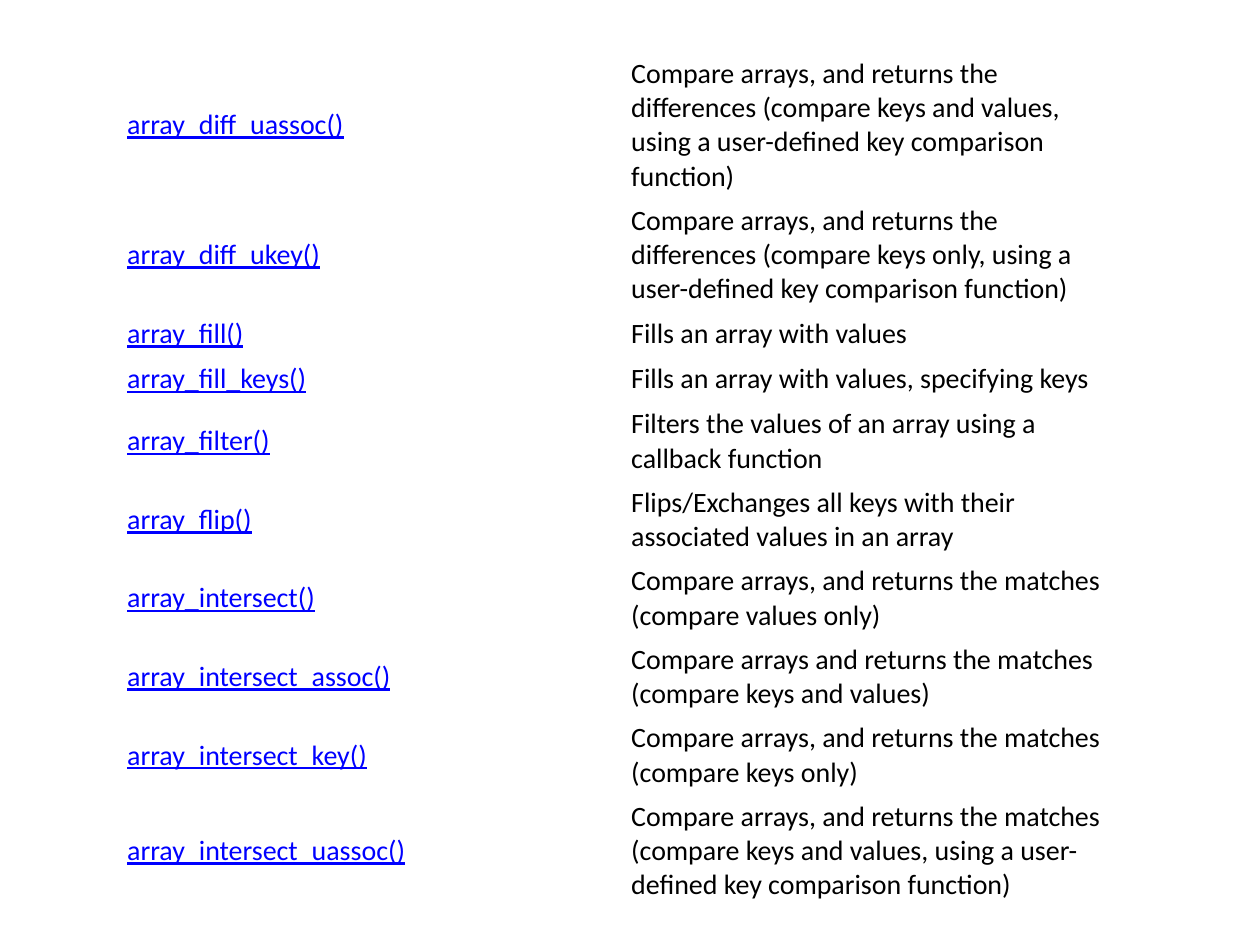
import pptx
import pptx.dml.color
import pptx.enum.text
import pptx.util

Inches = pptx.util.Inches
LINK_BLUE = pptx.dml.color.RGBColor(0x00, 0x00, 0xFF)
BLACK = pptx.dml.color.RGBColor(0x00, 0x00, 0x00)

COLUMN_WIDTH = 4
ROW_PADDING = 0.1
LINE_HEIGHT = 0.26

FUNCTIONS = [
    ("array_diff_uassoc()", 4,
     "Compare arrays, and returns the differences (compare keys and values, "
     "using a user-defined key comparison function)"),
    ("array_diff_ukey()", 3,
     "Compare arrays, and returns the differences (compare keys only, "
     "using a user-defined key comparison function)"),
    ("array_fill()", 1, "Fills an array with values"),
    ("array_fill_keys()", 1, "Fills an array with values, specifying keys"),
    ("array_filter()", 2, "Filters the values of an array using a callback function"),
    ("array_flip()", 2, "Flips/Exchanges all keys with their associated values in an array"),
    ("array_intersect()", 2, "Compare arrays, and returns the matches (compare values only)"),
    ("array_intersect_assoc()", 2,
     "Compare arrays and returns the matches (compare keys and values)"),
    ("array_intersect_key()", 2, "Compare arrays, and returns the matches (compare keys only)"),
    ("array_intersect_uassoc()", 3,
     "Compare arrays, and returns the matches (compare keys and values, "
     "using a user-defined key comparison function)"),
]


def fill_cell(cell, text, color, underline):
    cell.text = text
    cell.fill.background()
    cell.vertical_anchor = pptx.enum.text.MSO_ANCHOR.MIDDLE
    cell.margin_left = cell.margin_right = Inches(0.09)
    cell.margin_top = cell.margin_bottom = Inches(0.04)
    font = cell.text_frame.paragraphs[0].font
    font.name = "Calibri"
    font.size = pptx.util.Pt(16)
    font.color.rgb = color
    font.underline = underline


def add_function_table(slide, functions):
    heights = [Inches(ROW_PADDING + LINE_HEIGHT * lines) for _, lines, _ in functions]
    reference = slide.shapes.add_table(
        len(functions), 2, Inches(0.92), Inches(0.41),
        Inches(2 * COLUMN_WIDTH), sum(heights)).table
    reference.first_row = False
    reference.horz_banding = False
    for column in reference.columns:
        column.width = Inches(COLUMN_WIDTH)
    for row, height, (name, _, description) in zip(reference.rows, heights, functions):
        row.height = height
        fill_cell(row.cells[0], name, LINK_BLUE, True)
        fill_cell(row.cells[1], description, BLACK, False)


def main():
    deck = pptx.Presentation()
    deck.slide_width = Inches(10)
    deck.slide_height = Inches(7.5)
    slide = deck.slides.add_slide(deck.slide_layouts[6])
    add_function_table(slide, FUNCTIONS)
    deck.save("out.pptx")


if __name__ == "__main__":
    main()
